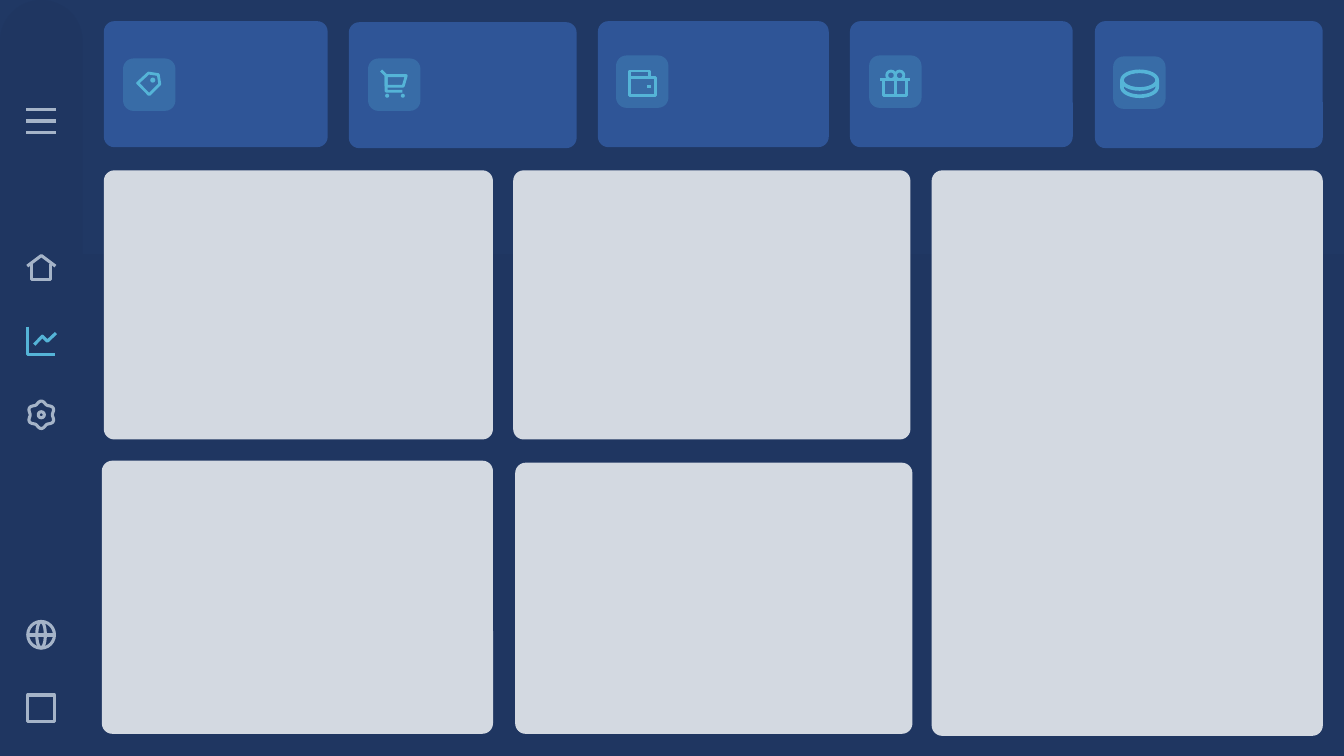
import math

import lxml.etree
import pptx
import pptx.dml.color
import pptx.enum.shapes
import pptx.oxml.ns
import pptx.util

RGBColor = pptx.dml.color.RGBColor
SHAPES = pptx.enum.shapes.MSO_SHAPE
NAVY = RGBColor(0x1F, 0x36, 0x61)
TOP_NAVY = RGBColor(0x20, 0x38, 0x64)
CARD_BLUE = RGBColor(0x2F, 0x55, 0x97)
PANEL_GREY = RGBColor(0xD3, 0xD9, 0xE1)
ACCENT = RGBColor(0x55, 0xB4, 0xD7)
ICON_GREY = RGBColor(0xA5, 0xB4, 0xC8)

COLUMNS, ROWS = 1333, 750
CELL = pptx.util.Inches(0.01)
CORNER = 10.4
BADGE = 52
RAIL_WIDTH = 82
RAIL_ICON_LEFT = 26
TOP_BAND = 252


def arc(center_x, center_y, radius_x, radius_y, first, last, steps=30):
    """Return points along an elliptical arc, in degrees."""
    angles = [math.radians(first + (last - first) * step / steps) for step in range(steps + 1)]
    return [(center_x + radius_x * math.cos(angle), center_y + radius_y * math.sin(angle))
            for angle in angles]


def gear_rim(center_x, center_y, radius, depth, teeth=6, steps=72):
    """Return points around a rim with evenly spaced teeth."""
    angles = [math.tau * step / steps for step in range(steps)]
    return [(center_x + (radius + depth * math.cos(teeth * angle)) * math.sin(angle),
             center_y - (radius + depth * math.cos(teeth * angle)) * math.cos(angle))
            for angle in angles]


def corners(left, top, width, height):
    """Return the four corners of a rectangle."""
    return [(left, top), (left + width, top), (left + width, top + height), (left, top + height)]


TAG = [
    ("closed", [(12.3, 1.5), (22, 3), (23.5, 12.5), (13, 23), (1.5, 11.5)]),
    ("dot", (14, 6, 5, 5)),
]
CART = [
    ("open", [(1, 1), (6, 6), (6, 21.5), (22, 21.5)]),
    ("closed", [(6, 6), (26, 6), (23, 16.5), (6, 16.5)]),
    ("dot", (5, 24, 4, 4)),
    ("dot", (20.5, 24, 4, 4)),
]
WALLET = [
    ("closed", corners(1.5, 7.5, 26, 18)),
    ("open", [(1.5, 7.5), (1.5, 1.5), (21.5, 1.5), (21.5, 7.5)]),
    ("open", [(19, 16.5), (23, 16.5)]),
]
GIFT = [
    ("open", [(0, 10), (30, 10)]),
    ("closed", corners(3.5, 10, 23, 15.5)),
    ("open", [(15, 6), (15, 25)]),
    ("ring", (6.5, 1.5, 8.5, 8.5)),
    ("ring", (15, 1.5, 8.5, 8.5)),
]
COIN = [
    ("ring", (1.75, 1.75, 35, 17.5)),
    ("open", [(1.75, 10.5)] + arc(19.25, 17.5, 17.5, 9, 180, 0) + [(36.75, 10.5)]),
]
MENU = [("open", [(0, row), (30, row)]) for row in (1.5, 13, 24.5)]
HOME = [
    ("open", [(1, 12), (15, 1.5), (29, 12)]),
    ("open", [(5.5, 10), (5.5, 25.5), (24.5, 25.5), (24.5, 10)]),
]
TREND = [
    ("open", [(1.5, 0), (1.5, 27.5), (29, 27.5)]),
    ("open", [(8, 18), (16, 9.5), (21, 14.5), (29.5, 6.5)]),
]
GEAR = [("closed", gear_rim(15, 15.5, 12.3, 1.3)), ("ring", (12, 12.5, 6, 6))]
GLOBE = [
    ("ring", (1.5, 1.5, 26.5, 26.5)),
    ("ring", (10.5, 1.5, 8.5, 26.5)),
    ("open", [(1.5, 15), (28, 15)]),
]
SQUARE = [("closed", corners(1.5, 1.5, 26.5, 26.5))]

CARDS = [
    ((103, 21, 222, 125), (19, 37), (13, 13), TAG),
    ((346, 22, 226, 125), (19, 36), (12, 11), CART),
    ((593, 21, 229, 125), (18, 34), (12, 14), WALLET),
    ((843, 21, 221, 125), (19, 34), (11, 14), GIFT),
    ((1086, 21, 226, 126), (18, 35), (7, 13), COIN),
]
PANELS = [
    (103, 169, 386, 267),
    (509, 169, 394, 267),
    (924, 169, 388, 561),
    (101, 457, 388, 271),
    (511, 459, 394, 269),
]
RAIL_ICONS = [
    (107, MENU, ICON_GREY),
    (252, HOME, ICON_GREY),
    (324, TREND, ACCENT),
    (396, GEAR, ICON_GREY),
    (615, GLOBE, ICON_GREY),
    (688, SQUARE, ICON_GREY),
]


def add_block(page, kind, box, color, radius=None, opacity=None):
    """Add a filled preset shape without outline."""
    shape = page.shapes.add_shape(kind, *[round(length * CELL) for length in box])
    shape.shadow.inherit = False
    shape.fill.solid()
    shape.fill.fore_color.rgb = color
    shape.line.fill.background()
    if radius:
        shape.adjustments[0] = radius / min(box[2:])
    if opacity:
        tint = shape.fill._xPr.find(".//" + pptx.oxml.ns.qn("a:srgbClr"))
        lxml.etree.SubElement(tint, pptx.oxml.ns.qn("a:alpha"), val=str(opacity * 1000))
    return shape


def add_stroke(page, points, closed):
    """Add a straight connector or an unfilled outline through the points."""
    spots = [(round(x * CELL), round(y * CELL)) for x, y in points]
    if len(spots) == 2:
        straight = pptx.enum.shapes.MSO_CONNECTOR.STRAIGHT
        stroke = page.shapes.add_connector(straight, *spots[0], *spots[1])
        lxml.etree.SubElement(stroke._element.spPr, pptx.oxml.ns.qn("a:effectLst"))
        return stroke
    builder = page.shapes.build_freeform(*spots[0])
    builder.add_line_segments(spots[1:], close=closed)
    stroke = builder.convert_to_shape()
    stroke.shadow.inherit = False
    stroke.fill.background()
    return stroke


def add_icon(page, left, top, parts, color, weight):
    """Draw the strokes, rings and dots of one icon from its top left corner."""
    for kind, data in parts:
        if kind in ("dot", "ring"):
            box = (left + data[0], top + data[1], *data[2:])
            shape = add_block(page, SHAPES.OVAL, box, color)
            if kind == "dot":
                continue
            shape.fill.background()
        else:
            shape = add_stroke(page, [(left + x, top + y) for x, y in data], kind == "closed")
        shape.line.fill.solid()
        shape.line.color.rgb = color
        for name, value in {"width": pptx.util.Pt(weight)}.items():
            setattr(shape.line, name, value)


def add_card(page, box, badge_offset, icon_offset, icon):
    """Add a metric card with its tinted icon badge."""
    add_block(page, SHAPES.ROUNDED_RECTANGLE, box, CARD_BLUE, CORNER)
    left, top = box[0] + badge_offset[0], box[1] + badge_offset[1]
    add_block(page, SHAPES.ROUNDED_RECTANGLE, (left, top, BADGE, BADGE), ACCENT, CORNER, 25)
    weight = 2.6 if icon is COIN else 2
    add_icon(page, left + icon_offset[0], top + icon_offset[1], icon, ACCENT, weight)


def add_rail(page, box):
    """Add the navigation rail and its icons."""
    add_block(page, SHAPES.ROUNDED_RECTANGLE, box, NAVY, box[2] / 2)
    for top, icon, color in RAIL_ICONS:
        add_icon(page, box[0] + RAIL_ICON_LEFT, box[1] + top, icon, color, 2.2)


def add_dashboard(page):
    """Place the background, cards, panels and rail."""
    add_block(page, SHAPES.RECTANGLE, (0, TOP_BAND, COLUMNS, ROWS - TOP_BAND), NAVY)
    add_block(page, SHAPES.RECTANGLE, (0, 0, COLUMNS, TOP_BAND), TOP_NAVY)
    for card in CARDS:
        add_card(page, *card)
    for panel in PANELS:
        add_block(page, SHAPES.ROUNDED_RECTANGLE, panel, PANEL_GREY, CORNER)
    add_rail(page, (0, 0, RAIL_WIDTH, ROWS))


def main():
    """Build and save the deck."""
    deck = pptx.Presentation()
    deck.slide_width, deck.slide_height = COLUMNS * CELL, ROWS * CELL
    add_dashboard(deck.slides.add_slide(deck.slide_layouts[6]))
    deck.save("out.pptx")


if __name__ == "__main__":
    main()
